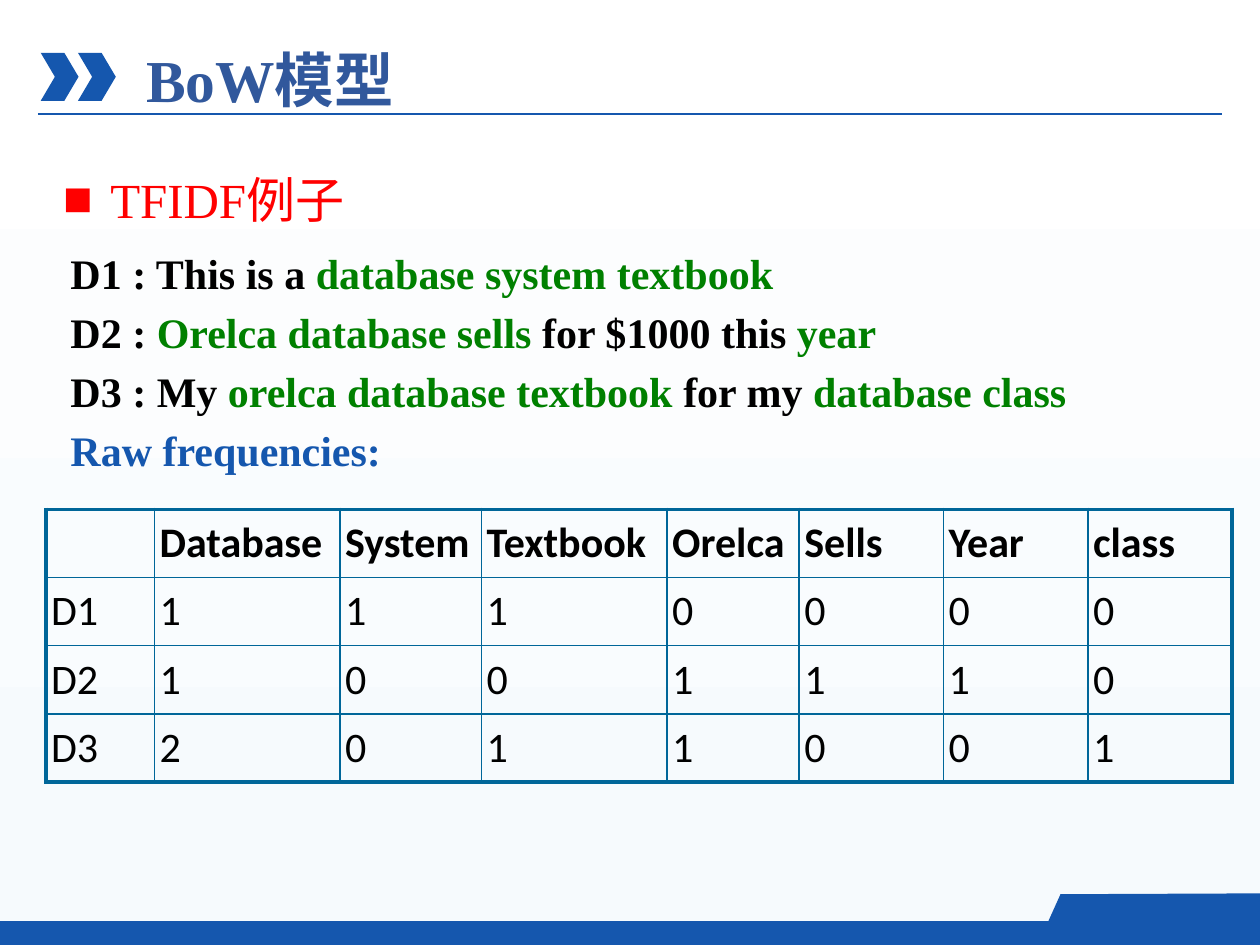
from lxml import etree
from pptx import Presentation
from pptx.dml.color import RGBColor
from pptx.enum.shapes import MSO_CONNECTOR, MSO_SHAPE
from pptx.enum.text import MSO_ANCHOR, MSO_AUTO_SIZE, PP_ALIGN
from pptx.oxml.ns import qn
from pptx.util import Pt

RECTANGLE = MSO_SHAPE.FLOWCHART_PROCESS
CHEVRON = MSO_SHAPE.CHEVRON
STRAIGHT = MSO_CONNECTOR.STRAIGHT
LEFT = PP_ALIGN.LEFT
TOP, MIDDLE, BOTTOM = MSO_ANCHOR.TOP, MSO_ANCHOR.MIDDLE, MSO_ANCHOR.BOTTOM
NO_AUTOFIT = MSO_AUTO_SIZE.NONE

COLORS = {
    "white": "FFFFFF",
    "pale": "F6FAFD",
    "blue": "1557AE",
    "title": "31589C",
    "red": "FF0000",
    "black": "000000",
    "green": "008000",
    "grid": "006699",
}
SERIF, SANS = "Times New Roman", "Calibri"

DOCUMENTS = [
    [("D1 : This is a ", "black"), ("database system textbook", "green")],
    [("D2 : ", "black"), ("Orelca database sells", "green"),
     (" for $1000 this ", "black"), ("year", "green")],
    [("D3 : My", "black"), (" orelca database textbook ", "green"),
     ("for my", "black"), (" database class", "green")],
    [("Raw frequencies:", "blue")],
]
FREQUENCIES = [
    ["", "Database", "System", "Textbook", "Orelca", "Sells", "Year", "class"],
    ["D1", 1, 1, 1, 0, 0, 0, 0],
    ["D2", 1, 0, 0, 1, 1, 1, 0],
    ["D3", 2, 0, 1, 1, 0, 0, 1],
]
COLUMN_WIDTHS = [62, 106, 81, 106, 75.5, 82.5, 82.5, 82.5]
ROW_HEIGHT = 39


def color(name):
    return RGBColor.from_string(COLORS[name])


class SlideBuilder:
    def __init__(self, slide):
        self.slide = slide

    def background(self, *names):
        fill = self.slide.background.fill
        fill.gradient()
        fill.gradient_angle = 270
        for stop, name, position in zip(fill.gradient_stops, names, (0, 0.97)):
            stop.color.rgb = color(name)
            stop.position = position

    def paint(self, shape):
        shape.shadow.inherit = False
        shape.fill.solid()
        shape.fill.fore_color.rgb = color("blue")
        shape.line.fill.background()

    def preset(self, kind, *box):
        shape = self.slide.shapes.add_shape(kind, *map(Pt, box))
        self.paint(shape)
        return shape

    def polygon(self, points):
        corners = [(Pt(x), Pt(y)) for x, y in points]
        builder = self.slide.shapes.build_freeform(*corners[0])
        builder.add_line_segments(corners[1:])
        self.paint(builder.convert_to_shape())

    def line(self, *ends):
        connector = self.slide.shapes.add_connector(STRAIGHT, *map(Pt, ends))
        connector.line.color.rgb = color("blue")
        connector.line.width = Pt(1.5)
        etree.SubElement(connector._element.spPr, qn("a:effectLst"))

    def frame(self, shape, box, anchor):
        shape.left, shape.top, shape.width, shape.height = map(Pt, box)
        frame = shape.text_frame
        frame.word_wrap = True
        frame.auto_size = NO_AUTOFIT
        frame.vertical_anchor = anchor
        return frame

    def font(self, paragraph, size, name, bold, color_name=None):
        paragraph.alignment = LEFT
        paragraph.font.size = Pt(size)
        paragraph.font.name = name
        paragraph.font.bold = bold
        if color_name:
            paragraph.font.color.rgb = color(color_name)

    def title(self, text, box):
        frame = self.frame(self.slide.shapes.title, box, BOTTOM)
        frame.text = text
        self.font(frame.paragraphs[0], 34, SERIF, True, "title")

    def bullet(self, text, box):
        frame = self.frame(self.slide.placeholders[1], box, TOP)
        frame.text = text
        paragraph = frame.paragraphs[0]
        properties = paragraph._p.get_or_add_pPr()
        properties.set("marL", str(Pt(27)))
        properties.set("indent", str(-Pt(27)))
        etree.SubElement(properties, qn("a:buChar")).set("char", "■")
        paragraph.line_spacing = 1.2
        paragraph.space_before = Pt(0)
        self.font(paragraph, 28, SERIF, False, "red")

    def colored_lines(self, lines, box):
        shape = self.slide.shapes.add_textbox(*map(Pt, box))
        frame = self.frame(shape, box, TOP)
        for index, parts in enumerate(lines):
            paragraph = frame.add_paragraph() if index else frame.paragraphs[0]
            if index:
                paragraph.space_before = Pt(5)
            self.font(paragraph, 24, SERIF, True)
            for text, color_name in parts:
                run = paragraph.add_run()
                run.text = text
                run.font.color.rgb = color(color_name)

    def borders(self, cell, widths):
        properties = cell._tc.get_or_add_tcPr()
        for side, width in widths.items():
            line = etree.SubElement(properties, qn(f"a:ln{side}"), w=str(Pt(width)))
            fill = etree.SubElement(line, qn("a:solidFill"))
            etree.SubElement(fill, qn("a:srgbClr"), val=COLORS["grid"])

    def table(self, rows, left, top, column_widths, row_height):
        last_row, last_column = len(rows) - 1, len(column_widths) - 1
        table = self.slide.shapes.add_table(
            len(rows), len(column_widths), Pt(left), Pt(top),
            Pt(sum(column_widths)), Pt(row_height * len(rows))).table
        table.first_row = table.horz_banding = False
        for column, width in zip(table.columns, column_widths):
            column.width = Pt(width)
        for row_index, values in enumerate(rows):
            table.rows[row_index].height = Pt(row_height)
            for column_index, value in enumerate(values):
                cell = table.cell(row_index, column_index)
                outer = {"L": column_index == 0, "R": column_index == last_column,
                         "T": row_index == 0, "B": row_index == last_row}
                self.borders(cell, {side: 2.25 if edge else 1
                                    for side, edge in outer.items()})
                cell.fill.background()
                cell.margin_left = cell.margin_right = Pt(3)
                cell.margin_top = cell.margin_bottom = Pt(3)
                cell.vertical_anchor = MIDDLE
                cell.text = str(value)
                self.font(cell.text_frame.paragraphs[0], 24, SANS,
                          row_index == 0, "black")


def main():
    presentation = Presentation()
    presentation.slide_width, presentation.slide_height = Pt(720), Pt(540)
    slide = presentation.slides.add_slide(presentation.slide_layouts[1])
    builder = SlideBuilder(slide)
    builder.background("white", "pale")
    builder.preset(RECTANGLE, 0, 526.5, 720, 13.5)
    builder.polygon([(594.5, 536.5), (606, 511), (720, 510.5), (720, 536.5)])
    builder.line(21.6, 65.2, 698.4, 65.2)
    for left in (23.3, 44.6):
        chevron = builder.preset(CHEVRON, left, 30.2, 21.6, 27.4)
        chevron.adjustments[0] = 0.375
    builder.title("BoW模型", (76.3, -1.6, 630, 70.6))
    builder.bullet("TFIDF例子", (28.8, 86.5, 646.6, 62.6))
    builder.colored_lines(DOCUMENTS, (33.2, 137.6, 648, 147.6))
    builder.table(FREQUENCIES, 26.2, 291, COLUMN_WIDTHS, ROW_HEIGHT)
    presentation.save("out.pptx")


if __name__ == "__main__":
    main()
